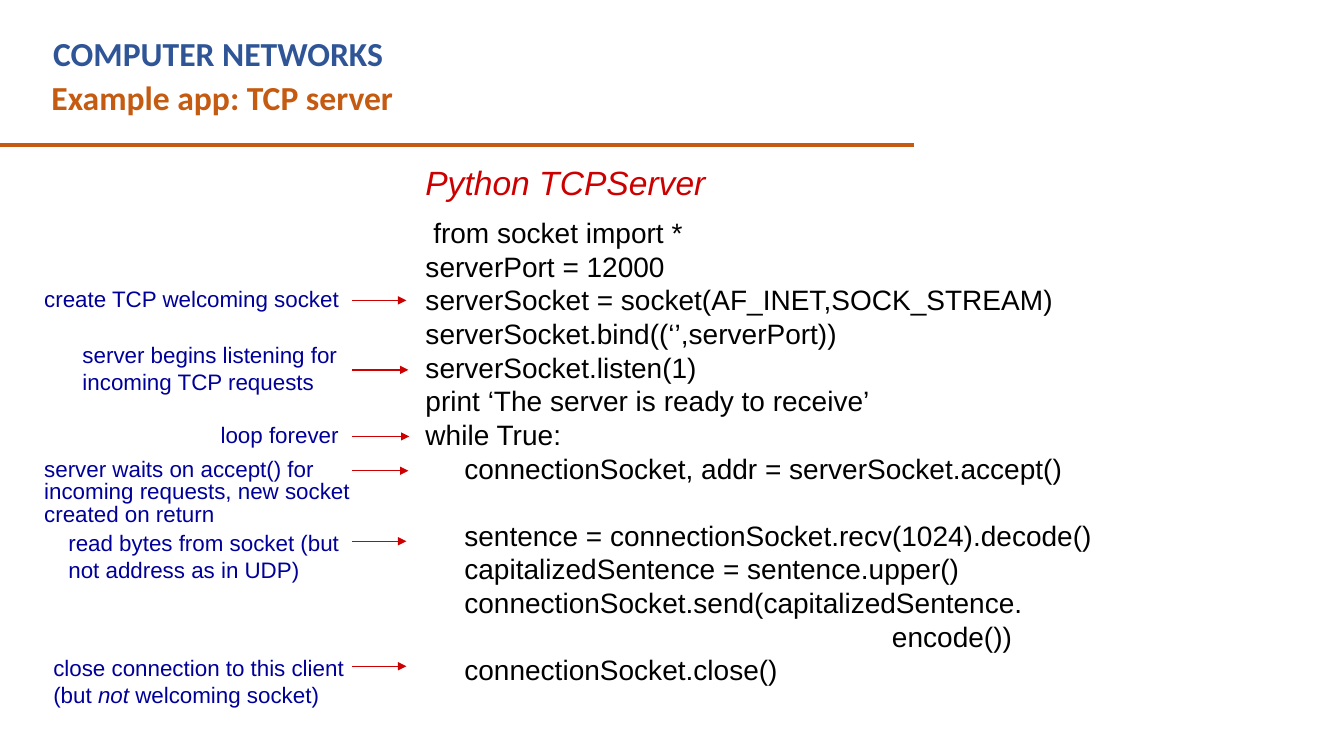
"""Build the slide that explains a TCP server in Python."""
from lxml.etree import SubElement as Sub
from pptx import Presentation
from pptx.dml.color import RGBColor as RGB
from pptx.enum.shapes import MSO_CONNECTOR as CONN
from pptx.enum.text import MSO_ANCHOR as ANCHOR, MSO_AUTO_SIZE as AUTO, PP_ALIGN as ALIGN
from pptx.oxml.ns import qn
from pptx.util import Inches, Pt


def write(sp, box, lines, color, fmt, pitch=None, gaps=()):
    """Place a shape and fill it; each line is a list of (text, italic) runs."""
    sp.left, sp.top, sp.width, sp.height = [Inches(v) for v in box]
    tf = sp.text_frame
    for k, v in {"word_wrap": True, "auto_size": AUTO.NONE, "vertical_anchor": ANCHOR.TOP}.items():
        setattr(tf, k, v)
    for i, runs in enumerate(lines):
        p = tf.paragraphs[0] if i == 0 else tf.add_paragraph()
        pPr = p._p.get_or_add_pPr()
        pPr.set("marL", "0")
        pPr.set("indent", "0")
        Sub(pPr, qn("a:buNone"))
        for k, v in {"alignment": ALIGN.LEFT, "line_spacing": pitch, "space_after": Pt(0),
                     "space_before": pitch if i in gaps else Pt(0)}.items():
            setattr(p, k, v)
        for text, italic in runs:
            r = p.add_run()
            r.text = text
            for k, v in {**fmt, "italic": italic}.items():
                setattr(r.font, k, v)
            r.font.color.rgb = RGB.from_string(color)


def line(s, x1, x2, y, color, width, head=False):
    """Draw a level line, with an arrowhead if asked."""
    c = s.shapes.add_connector(CONN.STRAIGHT, Inches(x1), Inches(y), Inches(x2), Inches(y))
    c.line.color.rgb = RGB.from_string(color)
    c.line.width = Pt(width)
    if head:
        Sub(c.line._get_or_add_ln(), qn("a:tailEnd"), type="triangle")
    Sub(c._element.spPr, qn("a:effectLst"))


ORANGE, BLUE, NAVY, RED, BLACK = "C55A11", "2F5597", "000099", "CC0000", "000000"
HEADING = {"name": "Calibri", "size": Pt(24), "bold": True}
LABEL = {"name": "Arial", "size": Pt(24)}
CODE = {"name": "Arial", "size": Pt(20)}
NOTE = {"name": "Arial", "size": Pt(16)}
LOOSE, TIGHT = Pt(19.2), Pt(16)

code = """ from socket import *
serverPort = 12000
serverSocket = socket(AF_INET,SOCK_STREAM)
serverSocket.bind((‘’,serverPort))
serverSocket.listen(1)
print ‘The server is ready to receive’
while True:
     connectionSocket, addr = serverSocket.accept()
     sentence = connectionSocket.recv(1024).decode()
     capitalizedSentence = sentence.upper()
     connectionSocket.send(capitalizedSentence.
                                                            encode())
     connectionSocket.close()"""

notes = [
    ((0.34, 2.78, 3.35, 0.37), LOOSE, 2.98, 4.03, [("create TCP welcoming socket", False)]),
    ((0.72, 3.34, 3.14, 0.64), LOOSE, 3.67, 4.05,
     [("server begins listening for incoming TCP requests", False)]),
    ((2.09, 4.17, 2.03, 0.33), TIGHT, 4.33, 4.06, [("loop forever", False)]),
    ((0.34, 4.51, 3.78, 0.77), TIGHT, 4.67, 4.05,
     [("server waits on accept() for incoming requests, new socket created on return", False)]),
    ((0.58, 5.2, 3, 0.64), LOOSE, 5.37, 4.03,
     [("read bytes from socket (but not address as in UDP)", False)]),
    ((0.43, 6.44, 3.41, 0.64), LOOSE, 6.61, 4.03,
     [("close connection to this client (but ", False), ("not", True),
      (" welcoming socket)", False)]),
]

prs = Presentation()
prs.slide_width, prs.slide_height = Inches(13.33), Inches(7.5)
s = prs.slides.add_slide(prs.slide_layouts[1])
title, body = s.placeholders

line(s, 0, 9.07, 1.44, ORANGE, 3)
write(title, (0.41, 0.71, 8.75, 0.5), [[("Example app: TCP server", False)]], ORANGE, HEADING)
write(body, (4.12, 2.09, 7.2, 5.1), [[(t, False)] for t in code.split("\n")], BLACK, CODE,
      Pt(24), gaps=(8,))

labels = [
    ((0.43, 0.28, 8.2, 0.5), "COMPUTER NETWORKS", False, BLUE, HEADING),
    ((4.12, 1.56, 3.09, 0.51), "Python TCPServer", True, RED, LABEL),
]
for box, text, italic, color, fmt in labels:
    write(s.shapes.add_textbox(0, 0, 0, 0), box, [[(text, italic)]], color, fmt)

for box, pitch, y, tip, runs in notes:
    write(s.shapes.add_textbox(0, 0, 0, 0), box, [runs], NAVY, NOTE, pitch)
    line(s, 3.49, tip, y, RED, 1, head=True)

prs.save("out.pptx")
